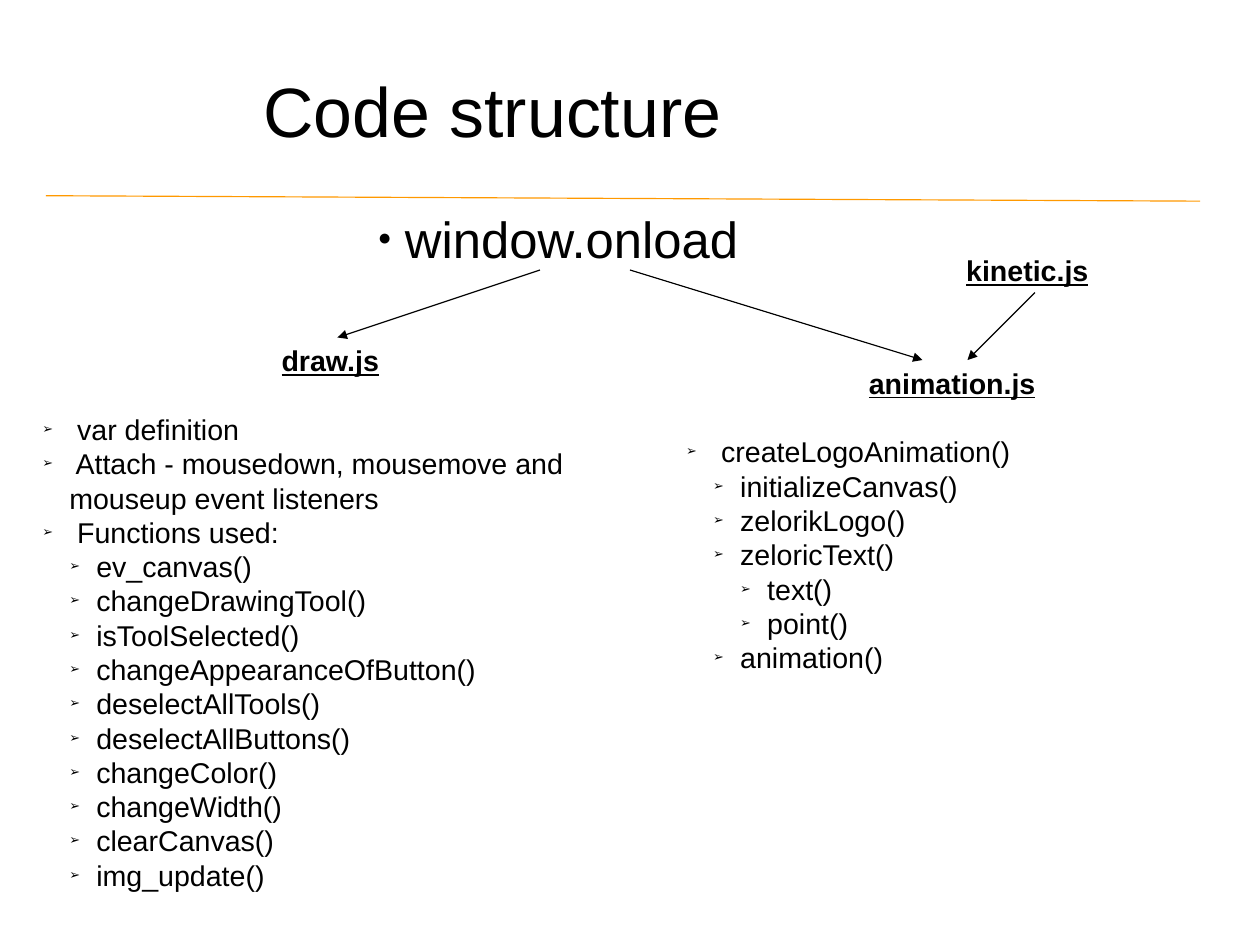
import pptx
import pptx.util
import pptx.dml.color
import pptx.enum.shapes
import pptx.enum.text
import pptx.oxml.ns
from lxml import etree

Cm = pptx.util.Cm
Pt = pptx.util.Pt
ALIGN = pptx.enum.text.PP_ALIGN
ANCHOR = pptx.enum.text.MSO_ANCHOR
STEP = Cm(0.6)
INSET = (0.25, 0.13)
HEAD = {"size": Pt(18), "bold": True, "underline": True}
BODY = {"size": Pt(18)}
ROW = Pt(21.6)


def color(text):
    return pptx.dml.color.RGBColor.from_string(text)


def apply(target, values):
    for name, value in values.items():
        setattr(target, name, value)


def child(parent, tag, **values):
    return etree.SubElement(parent, pptx.oxml.ns.qn(tag), values)


class Page:
    def __init__(self, slide, font, ink):
        self.slide = slide
        self.font = font
        self.ink = ink

    def box(self, left, top, width, height, inset=(0, 0), anchor=ANCHOR.TOP):
        shape = self.slide.shapes.add_textbox(Cm(left), Cm(top), Cm(width), Cm(height))
        side, edge = Cm(inset[0]), Cm(inset[1])
        frame = shape.text_frame
        apply(frame, {
            "word_wrap": True, "vertical_anchor": anchor,
            "margin_left": side, "margin_right": side,
            "margin_top": edge, "margin_bottom": edge,
        })
        return frame

    def label(self, para, text, style, **layout):
        run = para.add_run()
        run.text = text
        apply(run.font, {"name": self.font, **style})
        run.font.color.rgb = color(self.ink)
        apply(para, layout)

    def bullet(self, para, mark, level=0):
        props = para._p.get_or_add_pPr()
        props.set("marL", str(STEP * (level + 1)))
        props.set("indent", str(-STEP))
        child(props, "a:buSzPct", val="45000")
        child(props, "a:buFont", typeface=self.font)
        child(props, "a:buChar", char=mark)

    def block(self, place, title, items=()):
        frame = self.box(*place, inset=INSET)
        self.label(frame.paragraphs[0], title, HEAD, alignment=ALIGN.CENTER,
                   line_spacing=ROW, space_after=ROW if items else Pt(0))
        for level, text in items:
            para = frame.add_paragraph()
            self.label(para, text, BODY, level=level, line_spacing=ROW)
            self.bullet(para, "➢", level)

    def line(self, start, end, ink=None, arrow=False):
        ends = [Cm(value) for value in (*start, *end)]
        kind = pptx.enum.shapes.MSO_CONNECTOR.STRAIGHT
        link = self.slide.shapes.add_connector(kind, *ends)
        link.line.color.rgb = color(ink or self.ink)
        link.line.width = Pt(0.75)
        if arrow:
            child(link.line._get_or_add_ln(), "a:tailEnd", type="triangle")
        child(link._element.spPr, "a:effectLst")


def main():
    deck = pptx.Presentation()
    apply(deck, {"slide_width": Cm(28), "slide_height": Cm(21)})
    page = Page(deck.slides.add_slide(deck.slide_layouts[6]), "Arial", "000000")

    page.line((1.02, 4.35), (26.67, 4.47), ink="FF9900")
    title = page.box(1.4, 0.84, 19.1, 3.17, anchor=ANCHOR.MIDDLE)
    page.label(title.paragraphs[0], "Code structure", {"size": Pt(44)},
               alignment=ALIGN.CENTER)
    root = page.box(8.4, 4.5, 9.6, 1.57, anchor=ANCHOR.MIDDLE).paragraphs[0]
    page.label(root, "window.onload", {"size": Pt(32)})
    page.bullet(root, "●")

    calls = ["ev_canvas()", "changeDrawingTool()", "isToolSelected()",
             "changeAppearanceOfButton()", "deselectAllTools()",
             "deselectAllButtons()", "changeColor()", "changeWidth()",
             "clearCanvas()", "img_update()"]
    page.block((0.69, 7.5, 13.3, 11.65), "draw.js", [
        (0, " var definition"),
        (0, " Attach - mousedown, mousemove and mouseup event listeners"),
        (0, " Functions used:"),
        *((1, call) for call in calls),
    ])
    page.block((15, 8, 12.32, 7.5), "animation.js", [
        (0, " createLogoAnimation()"),
        (1, "initializeCanvas()"),
        (1, "zelorikLogo()"),
        (1, "zeloricText()"),
        (2, "text()"),
        (2, "point()"),
        (1, "animation()"),
    ])
    page.block((19.68, 5.5, 6.3, 1), "kinetic.js")

    for start, end in [((12, 6), (7.5, 7.5)), ((14, 6), (20.5, 8)),
                       ((23, 6.5), (21.5, 8))]:
        page.line(start, end, arrow=True)

    deck.save("out.pptx")


if __name__ == "__main__":
    main()
